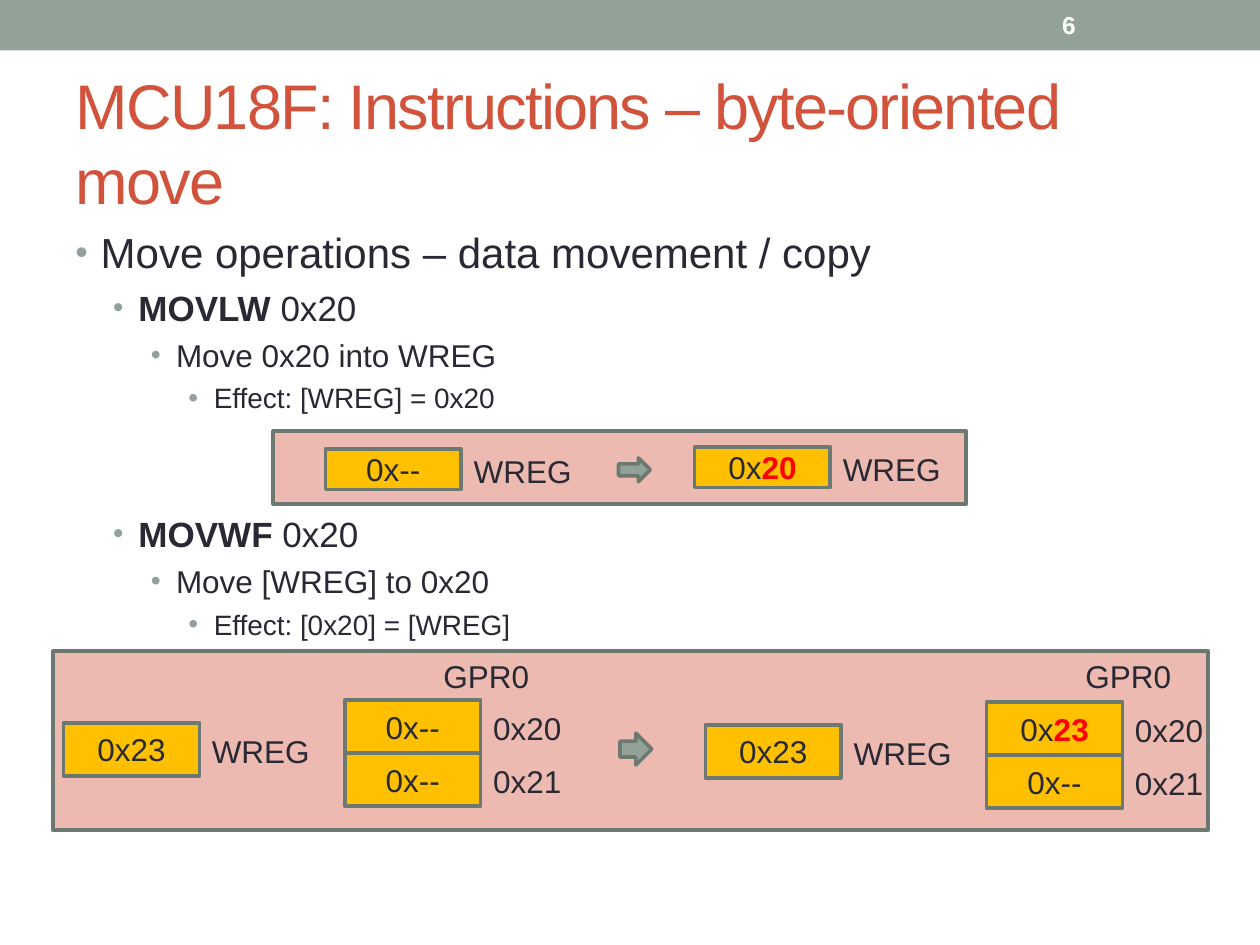
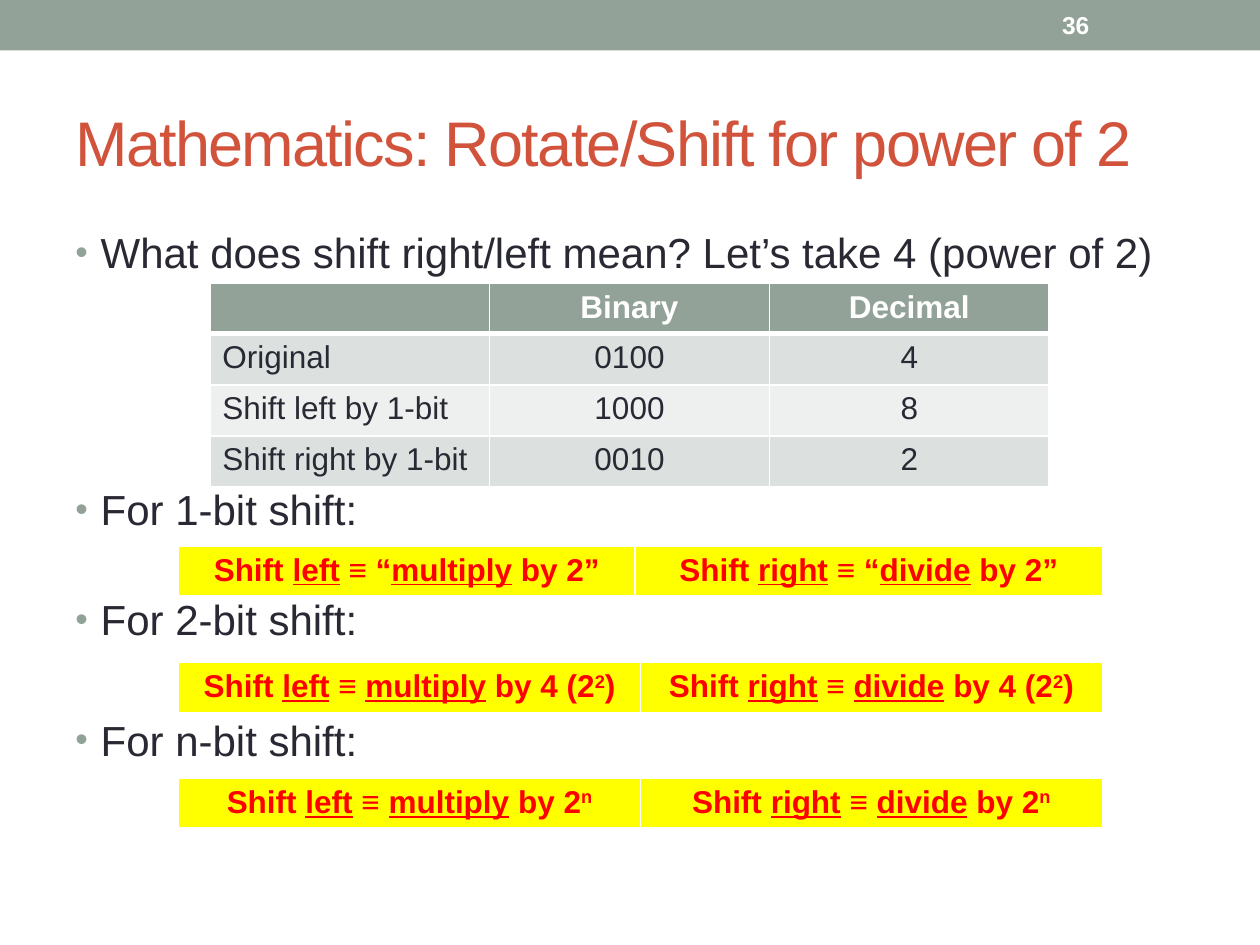
from dataclasses import dataclass

from lxml import etree
from pptx import Presentation
from pptx import util as u
from pptx.dml.color import RGBColor
from pptx.enum import shapes, text
from pptx.oxml.ns import qn


@dataclass(frozen=True)
class Theme:
    """Colours, font and type sizes of the deck."""
    font: str = "Arial"
    accent: str = "93A299"
    outline: str = "6D7871"
    title: str = "D2533C"
    ink: str = "292934"
    white: str = "FFFFFF"
    panel: str = "EDBAB1"
    register: str = "FFC000"
    red: str = "FF0000"
    yellow: str = "FFFF00"
    band_dark: str = "DCE0DE"
    band_light: str = "EEF0EF"
    title_size: int = 36
    number_size: int = 14
    label_size: int = 18
    level_sizes: tuple = (24, 20, 18, 16)
    bullet_scales: tuple = (85, 85, 90, 100)
    outline_width: float = 2.08


THEME = Theme()
SHAPE = shapes.MSO_SHAPE
ALIGN = text.PP_ALIGN
MIDDLE = text.MSO_ANCHOR.MIDDLE
REGISTER_WIDTH = 2.74
REGISTER_HEIGHT = 1.07


def place(box):
    """Turn a box in centimetres into lengths."""
    return [u.Cm(side) for side in box]


def add_runs(paragraph, runs, size, color=THEME.ink):
    """Add (words, marks) runs; marks: b bold, r red, u underlined, ^ raised."""
    for words, marks in runs:
        run = paragraph.add_run()
        run.text = words
        font = run.font
        font.name, font.size = THEME.font, u.Pt(size)
        font.bold, font.underline = "b" in marks, "u" in marks
        font.color.rgb = RGBColor.from_string(THEME.red if "r" in marks else color)
        if "^" in marks:
            font._element.set("baseline", "30000")


def add_block(slide, kind, box, fill, outline=THEME.outline):
    """Draw a flat filled shape."""
    block = slide.shapes.add_shape(kind, *place(box))
    block.shadow.inherit = False
    block.fill.solid()
    block.fill.fore_color.rgb = RGBColor.from_string(fill)
    if outline:
        block.line.color.rgb = RGBColor.from_string(outline)
        block.line.width = u.Pt(THEME.outline_width)
    else:
        block.line.fill.background()
    return block


def add_frame(slide, title, number):
    """Start a slide with its band, title and number."""
    slide = DECK.slides.add_slide(DECK.slide_layouts[5])
    add_block(slide, SHAPE.RECTANGLE, (0, 0, 25.4, 1.02), THEME.accent, None)

    heading = slide.shapes.title
    heading.left, heading.top, heading.width, heading.height = place((1.27, 1.48, 22.86, 2.75))
    frame = heading.text_frame
    frame.word_wrap, frame.auto_size = True, text.MSO_AUTO_SIZE.NONE
    frame.vertical_anchor = MIDDLE
    line = frame.paragraphs[0]
    line.alignment = ALIGN.LEFT
    add_runs(line, [(title, "")], THEME.title_size, THEME.title)
    line.runs[0].font._element.set("spc", "-100")

    page = slide.shapes.add_textbox(*place((21.16, 0.05, 2.97, 0.91))).text_frame
    page.word_wrap, page.vertical_anchor = True, MIDDLE
    add_runs(page.paragraphs[0], [(number, "b")], THEME.number_size, THEME.white)
    return slide


def add_outline(slide, box, items):
    """Write bulleted (level, space before, runs) items in the box."""
    frame = slide.shapes.add_textbox(*place(box)).text_frame
    frame.word_wrap = True
    for index, (level, gap, runs) in enumerate(items):
        line = frame.add_paragraph() if index else frame.paragraphs[0]
        size = THEME.level_sizes[level]
        line.level = level
        line.space_before = u.Pt(size / 4 if gap is None else gap)
        add_runs(line, runs, size)
        props = line._p.get_or_add_pPr()
        props.set("marL", str(u.Cm(0.51 + 0.76 * level)))
        props.set("indent", str(-u.Cm(0.51)))
        color = etree.SubElement(props, qn("a:buClr"))
        etree.SubElement(color, qn("a:srgbClr"), val=THEME.accent)
        scale = THEME.bullet_scales[level] * 1000
        etree.SubElement(props, qn("a:buSzPct"), val=str(scale))
        etree.SubElement(props, qn("a:buFont"), typeface=THEME.font)
        etree.SubElement(props, qn("a:buChar"), char="•")


def add_label(slide, left, top, words, width):
    """Write an unwrapped label."""
    frame = slide.shapes.add_textbox(*place((left, top, width, 1.02))).text_frame
    frame.word_wrap = False
    frame.auto_size = text.MSO_AUTO_SIZE.SHAPE_TO_FIT_TEXT
    add_runs(frame.paragraphs[0], [(words, "")], THEME.label_size)


def add_register(slide, left, top, value, name, width, height=REGISTER_HEIGHT):
    """Draw a register cell with its name to the right."""
    cell = add_block(slide, SHAPE.RECTANGLE, (left, top, REGISTER_WIDTH, height), THEME.register)
    cell.text_frame.vertical_anchor = MIDDLE
    line = cell.text_frame.paragraphs[0]
    line.alignment = ALIGN.CENTER
    add_runs(line, value, THEME.label_size)
    add_label(slide, left + REGISTER_WIDTH, top + height / 2 - 0.47, name, width)


def add_step_arrow(slide, box):
    """Draw the arrow from the state before to the state after."""
    add_block(slide, SHAPE.DOWN_ARROW, box, THEME.accent).rotation = 270


def add_literal_move(slide, box):
    """Show WREG before and after MOVLW."""
    left, top = box[:2]
    add_block(slide, SHAPE.RECTANGLE, box, THEME.panel)
    states = ((1.05, 0.36, [("0x--", "")]), (8.49, 0.32, [("0x", ""), ("20", "br")]))
    for dx, dy, value in states:
        add_register(slide, left + dx, top + dy, value, "WREG", 2.51, 0.82)
    add_step_arrow(slide, (left + 7.04, top + 0.46, 0.48, 0.64))


def add_file_move(slide, box):
    """Show WREG and GPR0 before and after MOVWF."""
    left, top = box[:2]
    add_block(slide, SHAPE.RECTANGLE, box, THEME.panel)
    states = ((0, 0, [("0x--", "")]), (12.94, 0.04, [("0x", ""), ("23", "br")]))
    for dx, dy, value in states:
        x, y = left + dx, top + dy
        add_register(slide, x + 0.21, y + 1.44, [("0x23", "")], "WREG", 2.51)
        add_label(slide, x + 7.62, top, "GPR0", 2.26)
        bank = (("0x20", value), ("0x21", [("0x--", "")]))
        for row, (address, content) in enumerate(bank):
            add_register(slide, x + 5.88, y + 0.98 + row * REGISTER_HEIGHT, content, address, 1.9)
    add_step_arrow(slide, (left + 11.43, top + 1.65, 0.64, 0.64))


def fill_cell(cell, runs, fill, color=THEME.ink, align=ALIGN.CENTER, bottom=1):
    """Fill a table cell and rule it in white."""
    cell.fill.solid()
    cell.fill.fore_color.rgb = RGBColor.from_string(fill)
    line = cell.text_frame.paragraphs[0]
    line.alignment = align
    add_runs(line, runs, THEME.label_size, color)
    if not runs:
        line.font.size = u.Pt(THEME.label_size)
    props = cell._tc.get_or_add_tcPr()
    for index, (side, width) in enumerate(zip("LRTB", (1, 1, 1, bottom))):
        rule = etree.Element(qn(f"a:ln{side}"), w=str(u.Pt(width)))
        paint = etree.SubElement(rule, qn("a:solidFill"))
        etree.SubElement(paint, qn("a:srgbClr"), val=THEME.white)
        props.insert(index, rule)


def add_grid(slide, left, top, widths, heights):
    """Add a plain table with the given column widths and row heights."""
    box = (left, top, sum(widths), sum(heights))
    grid = slide.shapes.add_table(len(heights), len(widths), *place(box)).table
    grid.first_row = grid.horz_banding = False
    for column, width in zip(grid.columns, widths):
        column.width = u.Cm(width)
    for row, height in zip(grid.rows, heights):
        row.height = u.Cm(height)
    return grid


def add_example(slide, left, top):
    """Tabulate how shifting changes the number 4."""
    rows = (("", "Binary", "Decimal"), ("Original", "0100", "4"),
            ("Shift left by 1-bit", "1000", "8"), ("Shift right by 1-bit", "0010", "2"))
    grid = add_grid(slide, left, top, [5.64] * 3, [0.98] + [1.03] * 3)
    for r, row in enumerate(rows):
        for c, words in enumerate(row):
            runs = [(words, "" if r else "b")] if words else []
            if r == 0:
                fill_cell(grid.cell(r, c), runs, THEME.accent, THEME.white, bottom=3)
            else:
                fill = THEME.band_dark if r % 2 else THEME.band_light
                align = ALIGN.CENTER if c else ALIGN.LEFT
                fill_cell(grid.cell(r, c), runs, fill, align=align)


def add_rule(slide, left, top, widths, quote, amount):
    """State what shifting left and right by some bits amounts to."""
    grid = add_grid(slide, left, top, widths, [1.03])
    for c, (way, verb) in enumerate((("left", "multiply"), ("right", "divide"))):
        runs = [("Shift ", "b"), (way, "bu"), (" ≡ " + quote, "b"), (verb, "bu"), *amount]
        fill_cell(grid.cell(0, c), runs, THEME.yellow, THEME.red, bottom=3)


def build_move_slide():
    """Build the slide on move instructions."""
    slide = add_frame(DECK, "MCU18F: Instructions – byte-oriented move", "6")
    add_literal_move(slide, (5.51, 8.69, 13.97, 1.47))
    add_file_move(slide, (1.07, 13.13, 23.29, 3.61))
    items = [(0, 2.5, [("Move operations – data movement / copy", "")])]
    moves = (("MOVLW", None, "Move 0x20 into WREG", "Effect: [WREG] = 0x20"),
             ("MOVWF", 56, "Move [WREG] to 0x20", "Effect: [0x20] = [WREG]"))
    for name, gap, action, effect in moves:
        items += [(1, gap, [(name, "b"), (" 0x20", "")]),
                  (2, None, [(action, "")]), (3, None, [(effect, "")])]
    add_outline(slide, (1.27, 4.45, 22.86, 13.54), items)


def build_shift_slide():
    """Build the slide on shifting by powers of two."""
    slide = add_frame(DECK, "Mathematics: Rotate/Shift for power of 2", "36")
    lines = ((2.5, "What does shift right/left mean? Let’s take 4 (power of 2)"),
             (118, "For 1-bit shift:"), (34, "For 2-bit shift:"), (40, "For n-bit shift:"))
    items = [(0, gap, [(words, "")]) for gap, words in lines]
    add_outline(slide, (1.27, 4.45, 22.86, 13.54), items)
    add_example(slide, 4.23, 5.71)
    rules = ((11.01, (9.2, 9.43), "“", [(" by 2”", "b")]),
             (13.36, (9.31, 9.31), "", [(" by 4 (2", "b"), ("2", "b^"), (")", "b")]),
             (15.69, (9.31, 9.31), "", [(" by 2", "b"), ("n", "b^")]))
    for top, widths, quote, amount in rules:
        add_rule(slide, 3.6, top, widths, quote, amount)


DECK = Presentation()


def main():
    """Build and save the deck."""
    DECK.slide_width, DECK.slide_height = u.Cm(25.4), u.Cm(19.05)
    build_move_slide()
    build_shift_slide()
    DECK.save("out.pptx")


if __name__ == "__main__":
    main()
